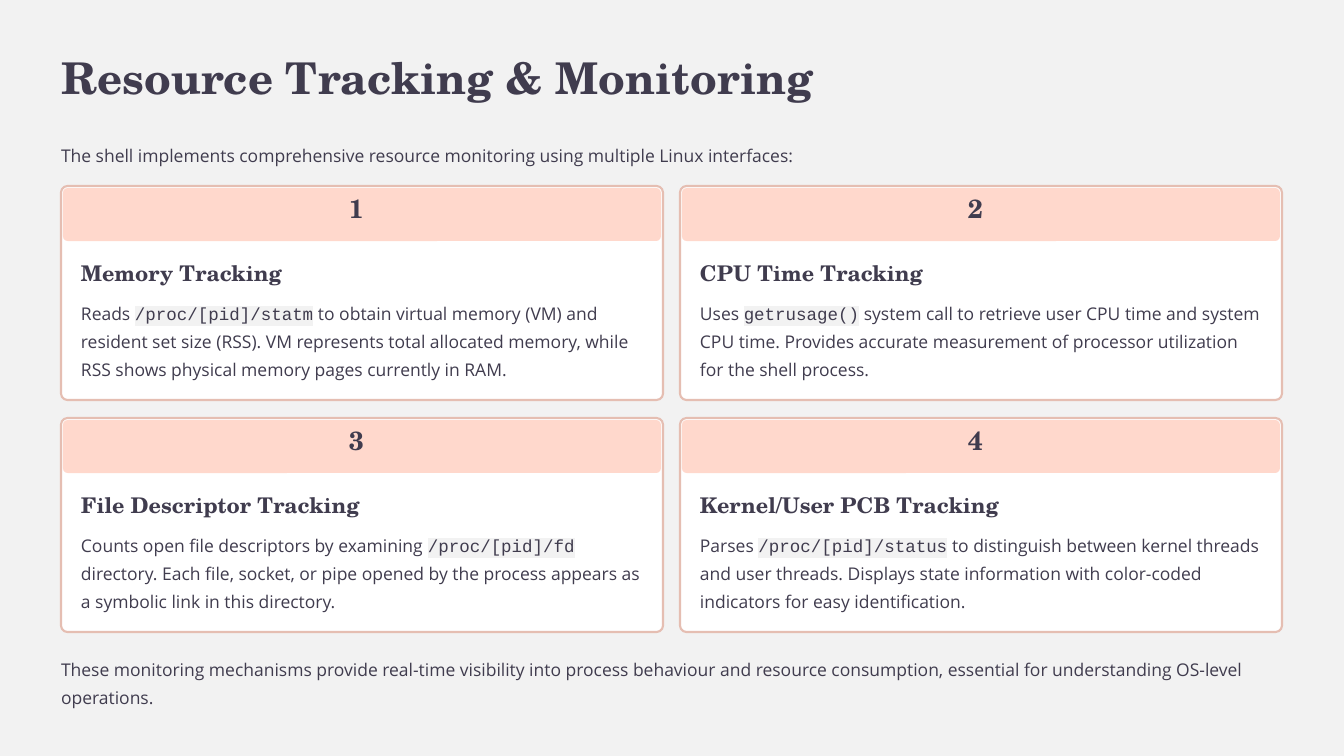
import pptx
import pptx.dml.color
import pptx.enum.shapes
import pptx.util
from dataclasses import dataclass
from lxml import etree

# Content
TITLE = "Resource Tracking & Monitoring"
INTRO = "The shell implements comprehensive resource monitoring using multiple Linux interfaces:"
CLOSING = ("These monitoring mechanisms provide real-time visibility into process behaviour and "
           "resource consumption, essential for understanding OS-level operations.")
CARDS = [  # heading, text before code, code, text after code
    ("Memory Tracking", "Reads ", "/proc/[pid]/statm",
     " to obtain virtual memory (VM) and resident set size (RSS). VM represents total allocated "
     "memory, while RSS shows physical memory pages currently in RAM."),
    ("CPU Time Tracking", "Uses ", "getrusage()",
     " system call to retrieve user CPU time and system CPU time. Provides accurate measurement "
     "of processor utilization for the shell process."),
    ("File Descriptor Tracking", "Counts open file descriptors by examining ", "/proc/[pid]/fd",
     " directory. Each file, socket, or pipe opened by the process appears as a symbolic link "
     "in this directory."),
    ("Kernel/User PCB Tracking", "Parses ", "/proc/[pid]/status",
     " to distinguish between kernel threads and user threads. Displays state information with "
     "color-coded indicators for easy identification."),
]


@dataclass(frozen=True)
class Style:
    font: str
    size: float
    leading: float
    bold: bool = False


class Theme:
    page = "F2F2F2"
    ink = "403C4E"
    card = "FFFFFF"
    border = "E5BEB2"
    band = "FFD8CC"
    code_font = "Courier New"
    title = Style("TeX Gyre Schola", 37.5, 47, True)
    number = Style("TeX Gyre Schola", 22.5, 22.5, True)
    heading = Style("TeX Gyre Schola", 18.5, 23.5, True)
    body = Style("Open Sans", 15, 24)


# Layout in px, 84 to the inch
MARGIN, CONTENT_W = 61, 1221
CARD_TOP, CARD_W, CARD_H = 186, 602, 214
PITCH_X, PITCH_Y = 619, 232
COLUMNS = 2
BORDER, BAND_H = 2, 53
PAD = 20


def px(n):
    return pptx.util.Emu(round(n * 914400 / 84))


def rgb(color):
    return pptx.dml.color.RGBColor.from_string(color)


def add_text(slide, box, runs, style, wrap=True):
    """Runs are (text, is_code) pairs in one paragraph."""
    tf = slide.shapes.add_textbox(*map(px, box)).text_frame
    tf.margin_left = tf.margin_top = tf.margin_right = tf.margin_bottom = 0
    tf.word_wrap = wrap
    p = tf.paragraphs[0]
    p.line_spacing = pptx.util.Pt(style.leading)
    p.font.size = pptx.util.Pt(style.size)
    p.font.bold = style.bold
    p.font.color.rgb = rgb(Theme.ink)
    p.font.name = style.font
    for text, is_code in runs:
        r = p.add_run()
        r.text = text
        if is_code:
            ns = "{http://schemas.openxmlformats.org/drawingml/2006/main}"
            highlight = etree.SubElement(r.font._element, ns + "highlight")
            etree.SubElement(highlight, ns + "srgbClr", val=Theme.page)
            r.font.name = Theme.code_font


def add_panel(slide, box, radius, fill, border=None):
    sp = slide.shapes.add_shape(pptx.enum.shapes.MSO_SHAPE.ROUNDED_RECTANGLE, *map(px, box))
    sp.shadow.inherit = False
    sp.adjustments[0] = radius
    sp.fill.solid()
    sp.fill.fore_color.rgb = rgb(fill)
    if border:
        sp.line.color.rgb = rgb(border)
        sp.line.width = pptx.util.Pt(1.8)
    else:
        sp.line.fill.background()


def add_card(slide, index, heading, before, code, after):
    row, column = divmod(index, COLUMNS)
    x, y = MARGIN + column * PITCH_X, CARD_TOP + row * PITCH_Y
    inner_w = CARD_W - 2 * PAD
    add_panel(slide, (x, y, CARD_W, CARD_H), 0.03, Theme.card, Theme.border)
    add_panel(slide, (x + BORDER, y + BORDER, CARD_W - 2 * BORDER, BAND_H), 0.09, Theme.band)
    add_text(slide, (x + 288, y + 12, 26, 33), [(str(index + 1), False)], Theme.number, False)
    add_text(slide, (x + PAD, y + 72, inner_w, 28), [(heading, False)], Theme.heading, False)
    add_text(slide, (x + PAD, y + 110, inner_w, 84),
             [(before, False), (code, True), (after, False)], Theme.body)


def main():
    prs = pptx.Presentation()
    prs.slide_width, prs.slide_height = px(1344), px(756)
    slide = prs.slides.add_slide(prs.slide_layouts[6])
    slide.background.fill.solid()
    slide.background.fill.fore_color.rgb = rgb(Theme.page)

    # Title and introduction
    add_text(slide, (MARGIN, 48, 770, 55), [(TITLE, False)], Theme.title, False)
    add_text(slide, (MARGIN, 138, CONTENT_W, 28), [(INTRO, False)], Theme.body, False)

    # Card grid
    for index, card in enumerate(CARDS):
        add_card(slide, index, *card)

    # Closing remark
    add_text(slide, (MARGIN, 652, CONTENT_W, 56), [(CLOSING, False)], Theme.body)
    prs.save("out.pptx")


if __name__ == "__main__":
    main()
